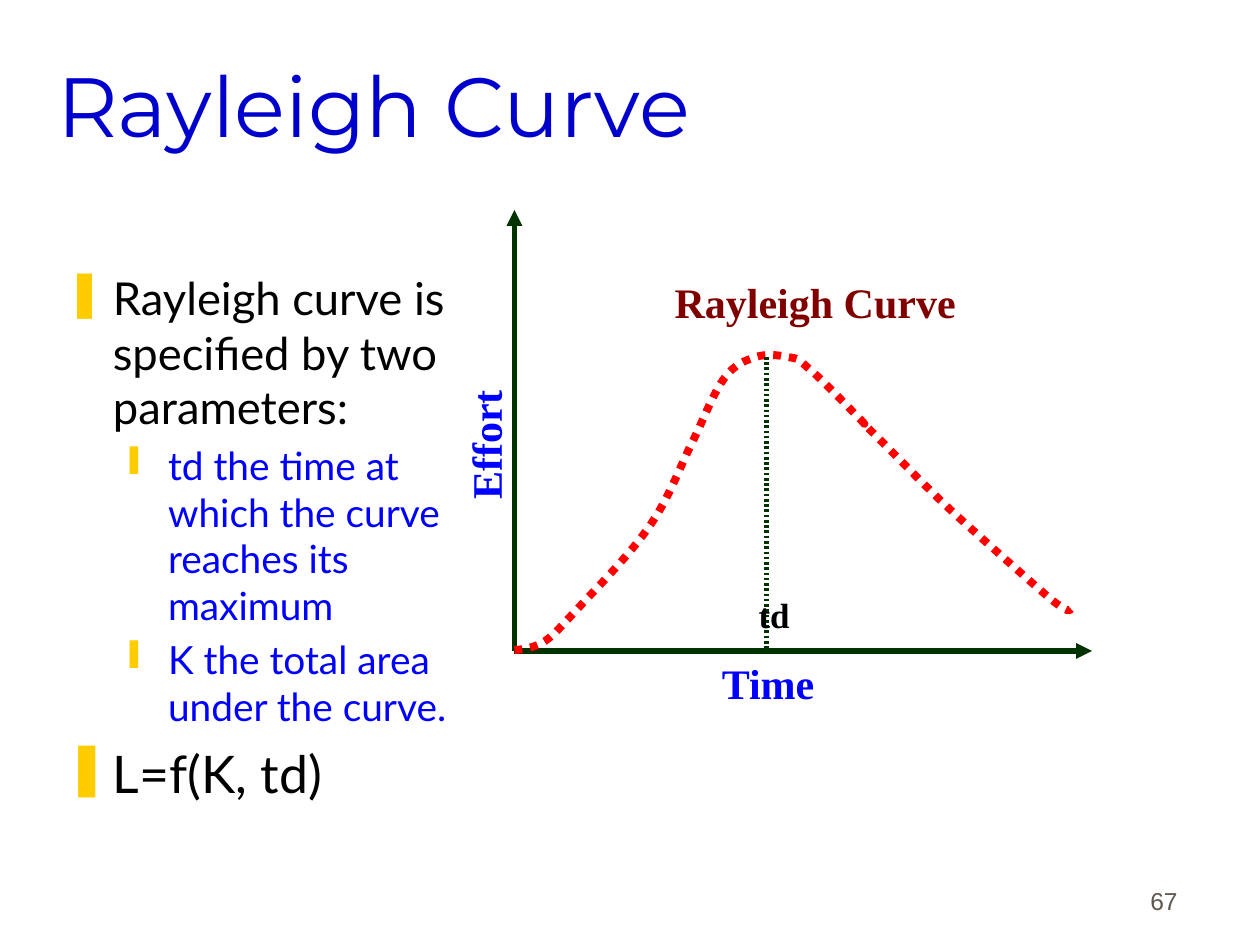
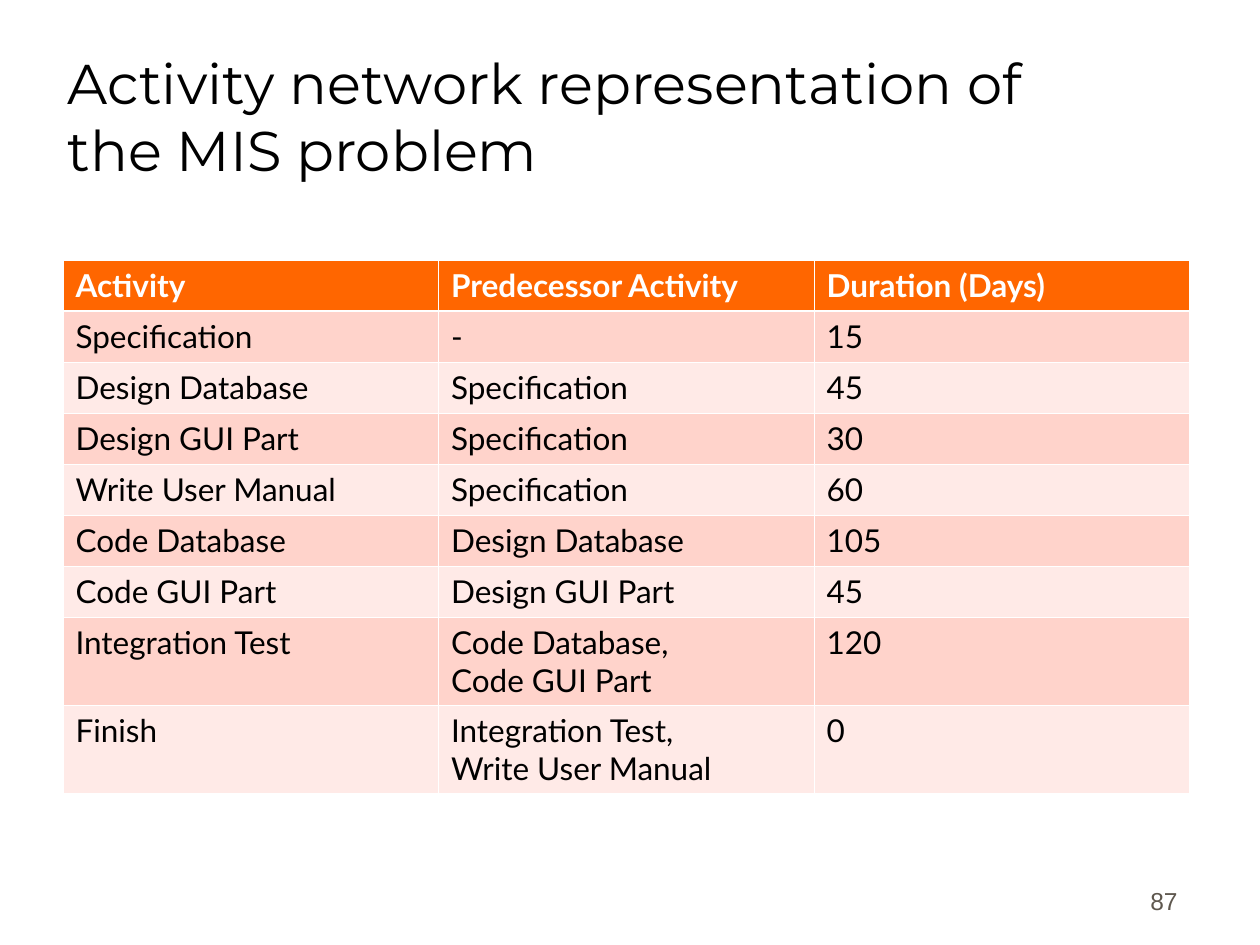
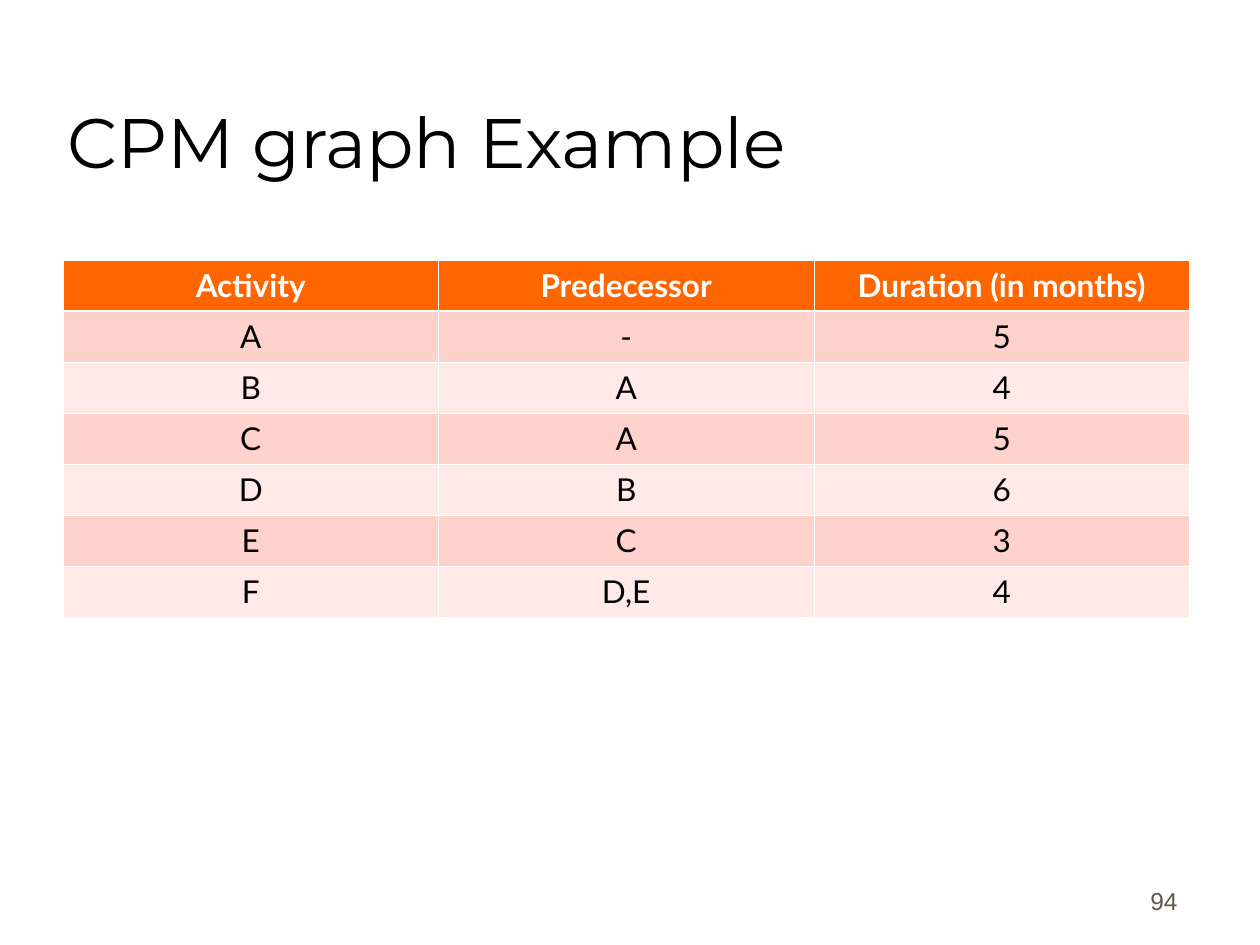
from dataclasses import dataclass

from lxml.etree import SubElement
from pptx import Presentation
from pptx.dml.color import RGBColor
from pptx.enum.dml import MSO_LINE
from pptx.enum.shapes import MSO_CONNECTOR
from pptx.enum.text import MSO_ANCHOR, PP_ALIGN
from pptx.oxml.ns import qn
from pptx.util import Pt


@dataclass(frozen=True)
class Theme:
    heading: str = "Montserrat"
    body: str = "Lato"
    label: str = "Times New Roman"
    footer: str = "Arial"
    black: str = "000000"
    white: str = "FFFFFF"
    title_blue: str = "0000CC"
    blue: str = "0000FF"
    maroon: str = "800000"
    red: str = "FF0000"
    green: str = "003300"
    gray: str = "5E574E"
    bullet: str = "FFCC00"
    header: str = "FF6600"
    bands: tuple = ("FFD3CB", "FFEAE7")
    footer_size: float = 14
    table_size: float = 18
    label_size: float = 24
    small_label_size: float = 20


THEME = Theme()
NARROW = (1.5, 3.6)   # side and top insets
NORMAL = (7.2, 3.6)

# Content: lengths in points
BULLETS = [  # text, level, size, space before
    ("Rayleigh curve is specified by two parameters:", 0, 25.9, 0),
    ("td the time at which the curve reaches its maximum", 1, 22.2, 4.5),
    ("K the total area under the curve.", 1, 22.2, 4.5),
    ("L=f(K, td)", 0, 29.6, 7.1),
]
BULLET_LEVELS = [  # mark, left margin, hanging indent, colour
    ("❚", 27, 27, THEME.black),
    ("❙", 58.5, 22.5, THEME.blue),
]
CURVE_LABELS = [  # text, (left, top, width, height), size, colour, rotation
    ("Effort", (246.25, 230.5, 77, 36), THEME.label_size, THEME.blue, 270),
    ("Time", (411, 379.5, 144, 36), THEME.label_size, THEME.blue, 0),
    ("td", (432, 342, 42, 31), THEME.small_label_size, THEME.black, 0),
    ("Rayleigh Curve", (384, 162, 252, 36), THEME.label_size, THEME.maroon, 0),
]
ORIGIN = (294, 372)
EFFORT_END = (294, 120)
TIME_END = (624, 372)
PEAK = (438, 204)
CURVE_START = (294, 371.5)
CURVE_BENDS = [  # two control points and an end point for each bend
    ((300, 371), (306, 370), (312, 366)),
    ((318, 361.5), (320, 358.5), (330, 348)),
    ((340, 337), (361, 316), (372, 299.5)),
    ((383, 283.5), (389, 265.5), (396, 252)),
    ((403, 237.5), (408, 224), (414, 216)),
    ((420, 208), (426, 206), (432, 204)),
    ((438, 202), (445, 203), (450, 204)),
    ((455, 205), (455, 204), (461.5, 210)),
    ((469, 216), (486, 234), (492, 240)),
    ((497.5, 246), (489, 237), (497.5, 246)),
    ((507, 255), (528.5, 278), (546, 294)),
    ((563, 309.5), (589, 332.5), (600, 342)),
    ((610.5, 350.5), (611, 349), (612, 348)),
]
MIS_ROWS = [
    ("Activity", "Predecessor Activity", "Duration (Days)"),
    ("Specification", "-", "15"),
    ("Design Database", "Specification", "45"),
    ("Design GUI Part", "Specification", "30"),
    ("Write User Manual", "Specification", "60"),
    ("Code Database", "Design Database", "105"),
    ("Code GUI Part", "Design GUI Part", "45"),
    ("Integration Test", "Code Database,\nCode GUI Part", "120"),
    ("Finish", "Integration Test,\nWrite User Manual", "0"),
]
CPM_ROWS = [
    ("Activity", "Predecessor", "Duration (in months)"),
    ("A", "-", "5"),
    ("B", "A", "4"),
    ("C", "A", "5"),
    ("D", "B", "6"),
    ("E", "C", "3"),
    ("F", "D,E", "4"),
]


# Shared parts
def points(values):
    return [Pt(value) for value in values]


def rgb(code):
    return RGBColor.from_string(code)


def style(para, name, size, color, bold=False):
    font = para.font
    font.name, font.size, font.bold = name, Pt(size), bold
    font.color.rgb = rgb(color)


def add_box(page, place, insets, anchor=MSO_ANCHOR.TOP):
    box = page.shapes.add_textbox(*points(place))
    frame = box.text_frame
    frame.word_wrap = True
    frame.vertical_anchor = anchor
    frame.margin_left = frame.margin_right = Pt(insets[0])
    frame.margin_top = frame.margin_bottom = Pt(insets[1])
    return box


def add_page(deck, title, number, size, color=THEME.black, top=18,
             insets=NORMAL, anchor=MSO_ANCHOR.BOTTOM):
    page = deck.slides.add_slide(deck.slide_layouts[6])
    para = add_box(page, (31.5, top, 612, 90), insets, anchor).text_frame.paragraphs[0]
    para.text = title
    style(para, THEME.heading, size, color)

    footer = add_box(page, (530, 490.5, 150, 36), NORMAL, MSO_ANCHOR.BOTTOM)
    para = footer.text_frame.paragraphs[0]
    para.text = str(number)
    para.alignment = PP_ALIGN.RIGHT
    style(para, THEME.footer, THEME.footer_size, THEME.gray)
    return page


def add_line(page, start, end, arrow=False):
    line = page.shapes.add_connector(MSO_CONNECTOR.STRAIGHT, *points(start + end))
    line.line.color.rgb = rgb(THEME.green)
    line.line.width = Pt(3)
    if arrow:
        SubElement(line.line._get_or_add_ln(), qn("a:tailEnd"), type="triangle")
    SubElement(line._element.spPr, qn("a:effectLst"))
    return line


def add_border(cell, side, width):
    edge = SubElement(cell._tc.get_or_add_tcPr(), qn(f"a:ln{side}"), w=str(Pt(width)))
    fill = SubElement(edge, qn("a:solidFill"))
    SubElement(fill, qn("a:srgbClr"), val=THEME.white)


def add_grid(page, rows, align):
    row_height, tall_row_height, thin, thick = 29.15, 50.4, 0.45, 1.47
    heights = [tall_row_height if "\n" in "".join(row) else row_height for row in rows]
    table = page.shapes.add_table(
        len(rows), len(rows[0]), *points((36, 148.5, 643.68, sum(heights)))).table
    table.horz_banding = False
    for r, (row, height) in enumerate(zip(rows, heights)):
        table.rows[r].height = Pt(height)
        for c, text in enumerate(row):
            cell = table.cell(r, c)
            for side in "LRTB":
                under_header = (r, side) in ((0, "B"), (1, "T"))
                add_border(cell, side, thick if under_header else thin)
            cell.fill.solid()
            cell.fill.fore_color.rgb = rgb(THEME.bands[(r - 1) % 2] if r else THEME.header)
            cell.text = text
            for para in cell.text_frame.paragraphs:
                para.alignment = align
                style(para, THEME.body, THEME.table_size,
                      THEME.black if r else THEME.white, bold=r == 0)


# Rayleigh curve
def add_bullets(page):
    frame = add_box(page, (36, 151, 240, 328.5), NARROW).text_frame
    for index, (text, level, size, before) in enumerate(BULLETS):
        mark, margin, hanging, color = BULLET_LEVELS[level]
        para = frame.add_paragraph() if index else frame.paragraphs[0]
        para.text = text
        para.level = level
        if before:
            para.space_before = Pt(before)
        props = para._p.get_or_add_pPr()
        props.set("marL", str(Pt(margin)))
        props.set("indent", str(-Pt(hanging)))
        SubElement(SubElement(props, qn("a:buClr")), qn("a:srgbClr"), val=THEME.bullet)
        SubElement(props, qn("a:buChar"), char=mark)
        style(para, THEME.body, size, color)


def bend_points(start, first, second, end, steps=8):
    for step in range(1, steps + 1):
        t = step / steps
        u = 1 - t
        yield tuple(Pt(u**3 * a + 3 * u * u * t * b + 3 * u * t * t * c + t**3 * d)
                    for a, b, c, d in zip(start, first, second, end))


def add_curve(page):
    builder = page.shapes.build_freeform(*points(CURVE_START))
    start = CURVE_START
    for bend in CURVE_BENDS:
        builder.add_line_segments(bend_points(start, *bend), close=False)
        start = bend[-1]
    curve = builder.convert_to_shape()
    curve.shadow.inherit = False
    curve.fill.background()
    curve.line.color.rgb = rgb(THEME.red)
    curve.line.width = Pt(4.5)
    curve.line.dash_style = MSO_LINE.ROUND_DOT


def add_peak_line(page):
    line = add_line(page, PEAK, (PEAK[0], ORIGIN[1]))
    dashes = SubElement(line.line._get_or_add_ln(), qn("a:custDash"))
    SubElement(dashes, qn("a:ds"), d="50000", sp="50000")


def add_curve_labels(page):
    for text, place, size, color, rotation in CURVE_LABELS:
        box = add_box(page, place, NARROW)
        box.rotation = rotation
        para = box.text_frame.paragraphs[0]
        para.text = text
        para.line_spacing = 0.72
        style(para, THEME.label, size, color, bold=True)


def main():
    deck = Presentation()
    deck.slide_width, deck.slide_height = Pt(720), Pt(540)

    page = add_page(deck, "Rayleigh Curve", 67, 48, THEME.title_blue, 14.5,
                    NARROW, MSO_ANCHOR.MIDDLE)
    add_bullets(page)
    add_line(page, ORIGIN, EFFORT_END, arrow=True)
    add_line(page, ORIGIN, TIME_END, arrow=True)
    add_curve(page)
    add_peak_line(page)
    add_curve_labels(page)

    page = add_page(deck, "Activity network representation of the MIS problem", 87, 32)
    add_grid(page, MIS_ROWS, PP_ALIGN.LEFT)

    page = add_page(deck, "CPM graph Example", 94, 40)
    add_grid(page, CPM_ROWS, PP_ALIGN.CENTER)

    deck.save("out.pptx")


if __name__ == "__main__":
    main()
